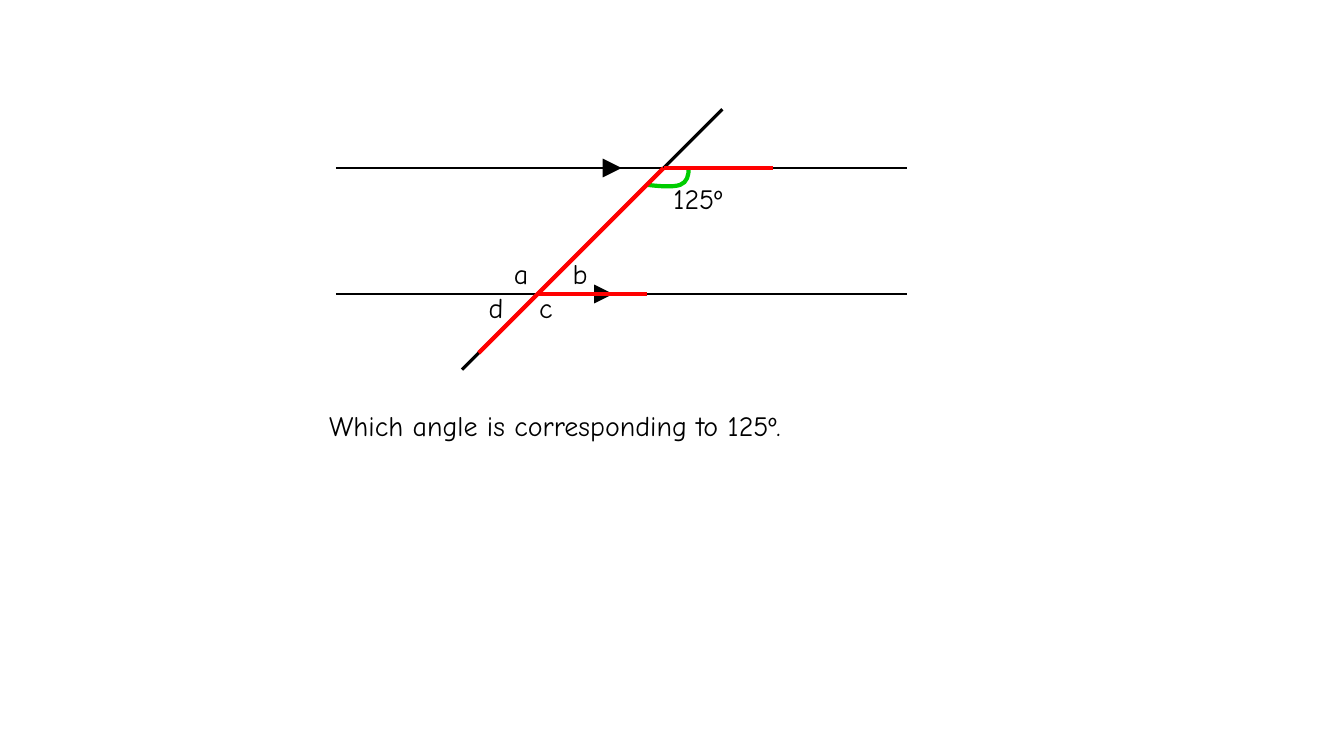
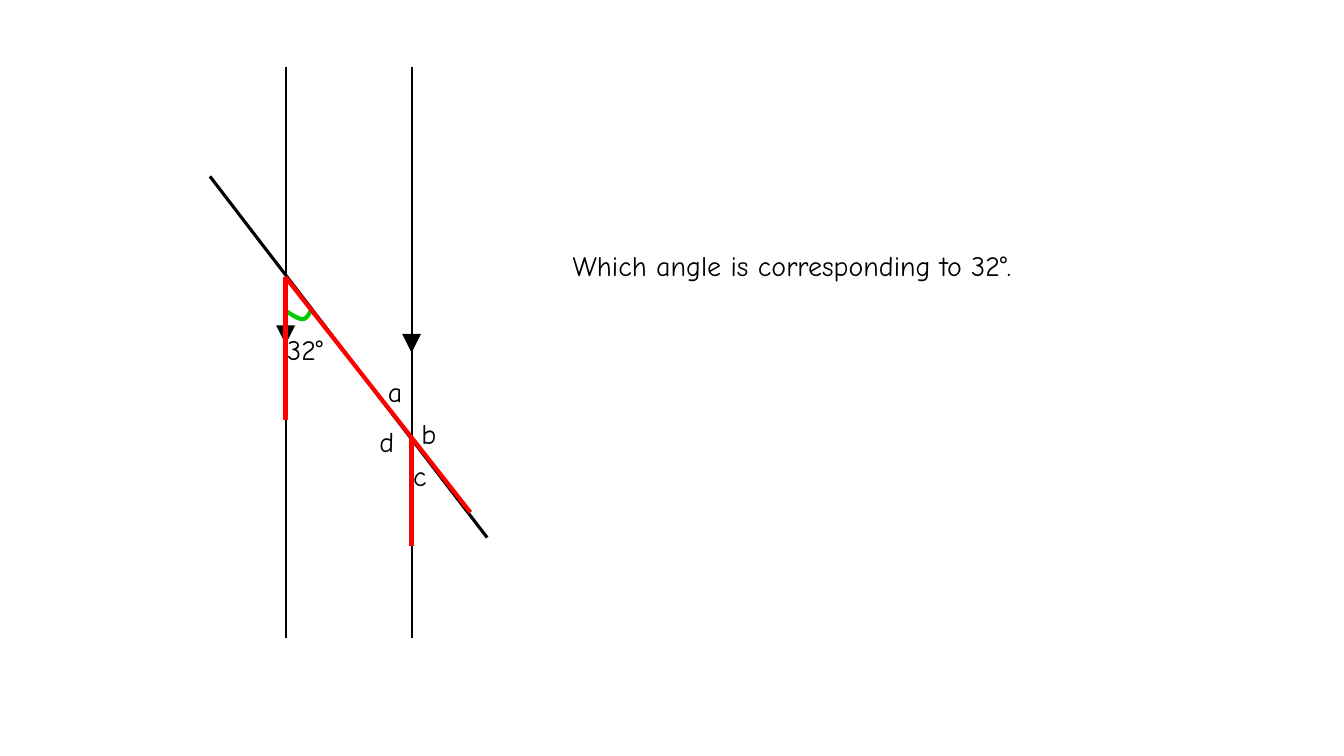
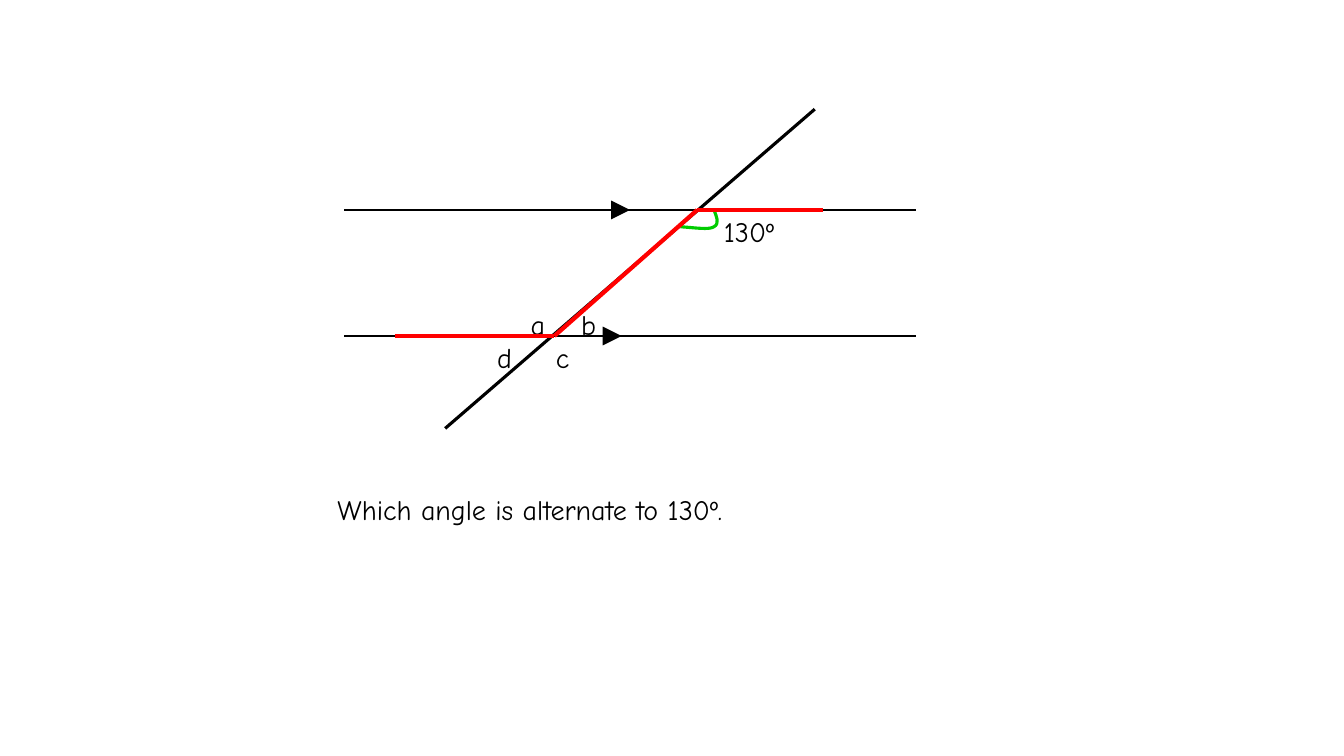
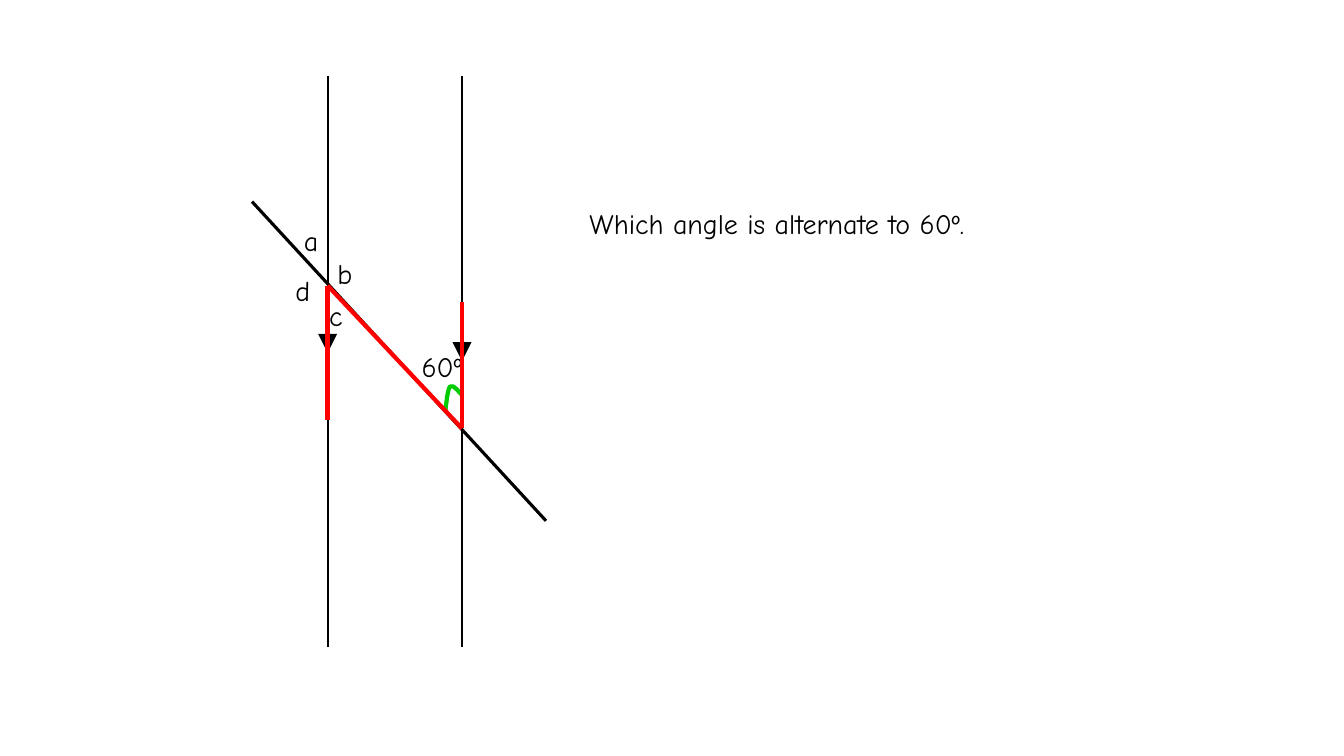
from lxml import etree
from pptx import Presentation
from pptx.dml.color import RGBColor
from pptx.enum.shapes import MSO_CONNECTOR
from pptx.enum.text import MSO_AUTO_SIZE
from pptx.oxml.ns import qn
from pptx.util import Pt

STRAIGHT = MSO_CONNECTOR.STRAIGHT
GROW = MSO_AUTO_SIZE.SHAPE_TO_FIT_TEXT
HUE = {"ink": "000000", "red": "FF0000", "green": "00CC00", "paper": "FFFFFF"}
FONT = "Comic Neue"

# Grid of 160 columns by 90 rows; every place below is in grid cells
COLS, ROWS = 160, 90
CELL = 76200
RAIL = 68          # length of each parallel line
MARKS = (32, 31)   # where the arrow mark starts along each parallel line
MARK = 2           # length of an arrow mark
TALL = 5.2         # height of a line of text

# rails: (column, row) where each parallel line starts
# notes: text, column, row, width
FIGS = [
    {
        "down": False,
        "rails": [(40, 20), (40, 35)],
        "cross": (86, 13, 55, 44),
        "arc": [(77, 22), (78.6, 22.2), (80.2, 22.3), (81, 22),
                (81.8, 21.7), (82, 20.9), (82, 20)],
        "pen": 3, "fill": False,
        "notes": [("125º", 79, 21, 13), ("a", 60, 30, 6), ("b", 67, 30, 7),
                  ("c", 63, 34, 8), ("d", 57, 34, 6),
                  ("Which angle is corresponding to 125º.", 38, 48, 75)],
        "reds": [(57, 42, 79, 20), (77, 35, 64, 35), (92, 20, 79, 20)],
    },
    {
        "down": True,
        "rails": [(49, 8), (34, 8)],
        "cross": (25, 21, 58, 64),
        "arc": [(34, 37), (34.8, 37.5), (35.5, 38), (36, 38),
                (36.5, 38), (36.7, 37.5), (37, 37)],
        "pen": 3, "fill": True,
        "notes": [("32°", 33, 39, 9), ("a", 45, 44, 6), ("b", 49, 49, 7),
                  ("c", 48, 54, 6), ("d", 44, 50, 7),
                  ("Which angle is corresponding to 32°.", 67, 29, 60)],
        "reds": [(34, 33, 56, 61), (34, 33, 34, 50), (49, 52, 49, 65)],
    },
    {
        "down": False,
        "rails": [(41, 25), (41, 40)],
        "cross": (53, 51, 97, 13),
        "arc": [(81, 27), (82.7, 27.1), (84.4, 27.4), (85, 27),
                (85.7, 26.6), (85.3, 25.8), (85, 25)],
        "pen": 2.25, "fill": False,
        "notes": [("130º", 85, 25, 11), ("a", 62, 36, 5), ("b", 68, 36, 7),
                  ("c", 65, 40, 8), ("d", 58, 40, 7),
                  ("Which angle is alternate to 130º.", 39, 58, 65)],
        "reds": [(98, 25, 83, 25), (83, 25, 66, 40), (47, 40, 66, 40)],
    },
    {
        "down": True,
        "rails": [(55, 9), (39, 9)],
        "cross": (30, 24, 65, 62),
        "arc": [(53, 49), (53.2, 47.6), (53.3, 46.3), (53.6, 46),
                (54, 45.7), (54.7, 46.8), (55, 47)],
        "pen": 3, "fill": False,
        "notes": [("60º", 49, 41, 8), ("a", 35, 26, 4), ("b", 39, 30, 6),
                  ("c", 38, 35, 5), ("d", 34, 32, 5),
                  ("Which angle is alternate to 60º.", 69, 24, 60)],
        "reds": [(39, 34, 39, 50), (39, 34, 55, 51), (55, 36, 55, 51)],
    },
]


def emu(*cells):
    return [round(n * CELL) for n in cells]


def draw(slide, ends, hue, width, tip=False):
    line = slide.shapes.add_connector(STRAIGHT, *emu(*ends))
    line.line.color.rgb = RGBColor.from_string(HUE[hue])
    line.line.width = Pt(width)
    props = line._element.spPr
    if tip:
        etree.SubElement(props.find(qn("a:ln")), qn("a:tailEnd"), type="triangle")
    etree.SubElement(props, qn("a:effectLst"))


deck = Presentation()
deck.slide_width, deck.slide_height = emu(COLS, ROWS)
blank = deck.slide_layouts[6]

for fig in FIGS:
    slide = deck.slides.add_slide(blank)

    # Parallel lines, then their arrow marks
    dx, dy = (0, 1) if fig["down"] else (1, 0)
    for x, y in fig["rails"]:
        draw(slide, (x, y, x + RAIL * dx, y + RAIL * dy), "ink", 1.5)
    for (x, y), at in zip(fig["rails"], MARKS):
        end = at + MARK
        draw(slide, (x + at * dx, y + at * dy, x + end * dx, y + end * dy),
             "ink", 4.5, tip=True)

    # Line that crosses them
    draw(slide, fig["cross"], "ink", 2.25)

    # Angle arc: each three segments become one curve
    dots = [emu(*dot) for dot in fig["arc"]]
    pen = slide.shapes.build_freeform(*dots[0], scale=1.0)
    pen.add_line_segments(dots[1:], close=False)
    arc = pen.convert_to_shape()
    legs = list(arc._element.iter(qn("a:lnTo")))
    for i in range(0, len(legs), 3):
        curve = etree.Element(qn("a:cubicBezTo"))
        legs[i].addprevious(curve)
        for leg in legs[i:i + 3]:
            curve.append(leg[0])
            leg.getparent().remove(leg)
    arc.shadow.inherit = False
    if fig["fill"]:
        arc.fill.solid()
        arc.fill.fore_color.rgb = RGBColor.from_string(HUE["paper"])
    else:
        arc.fill.background()
    arc.line.color.rgb = RGBColor.from_string(HUE["green"])
    arc.line.width = Pt(fig["pen"])

    # Angle names and question
    for text, x, y, wide in fig["notes"]:
        frame = slide.shapes.add_textbox(*emu(x, y, wide, TALL)).text_frame
        frame.word_wrap = True
        frame.auto_size = GROW
        run = frame.paragraphs[0].add_run()
        run.text = text
        run.font.name = FONT
        run.font.size = Pt(20)
        run.font.color.rgb = RGBColor.from_string(HUE["ink"])

    # Red letter shape that links the two angles
    for ends in fig["reds"]:
        draw(slide, ends, "red", 3)

deck.save("out.pptx")
